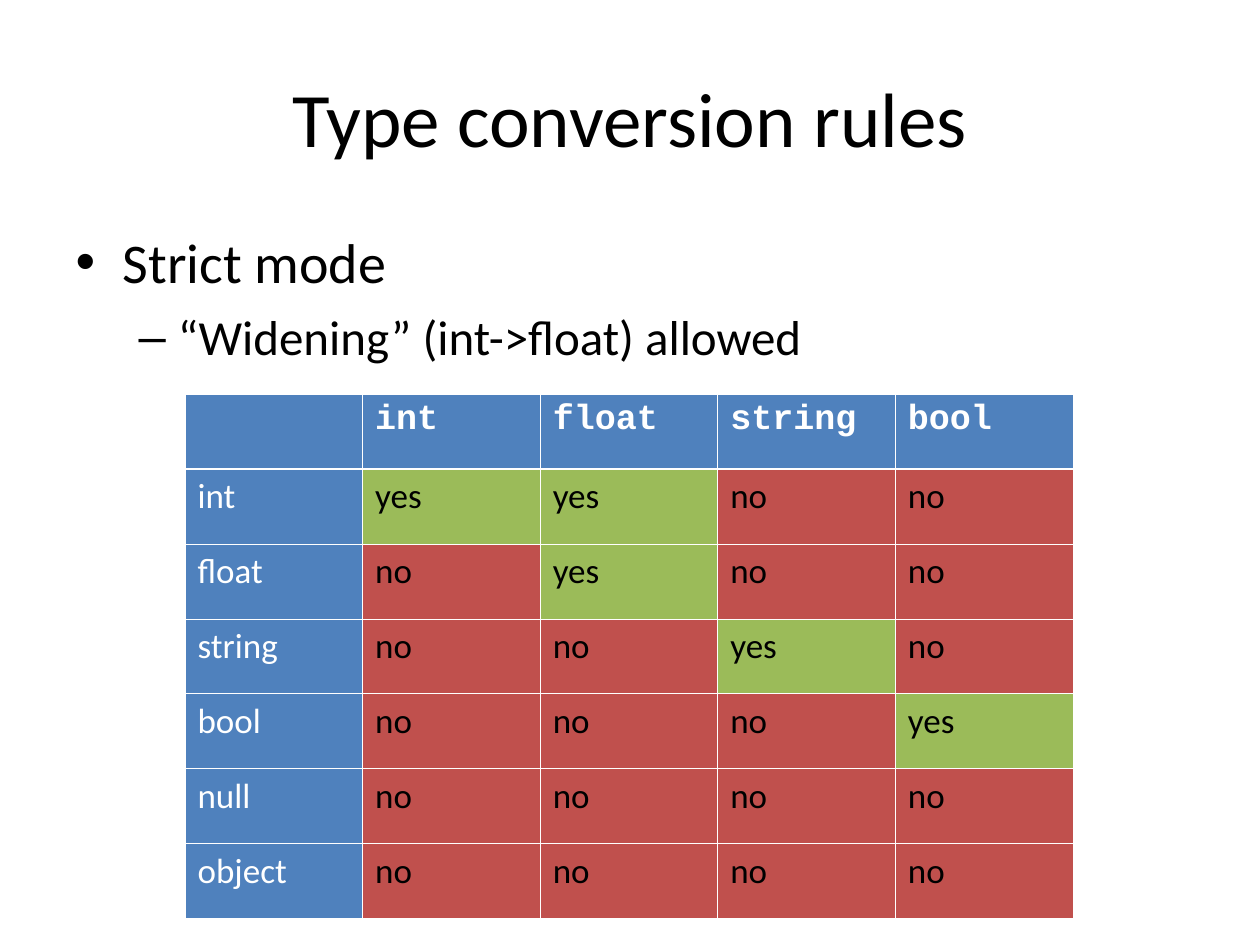
from lxml.etree import SubElement
from pptx import Presentation
from pptx.dml.color import RGBColor
from pptx.enum.text import MSO_ANCHOR, PP_ALIGN
from pptx.oxml.ns import qn
from pptx.util import Pt

SCALE = 914400 / 126
WHITE, BLACK = "FFFFFF", "000000"
BLUE, GREEN, RED = "4F81BD", "9BBB59", "C0504D"
HEADS = ["", "int", "float", "string", "bool"]
RULES = [
    ["int", "yes", "yes", "no", "no"],
    ["float", "no", "yes", "no", "no"],
    ["string", "no", "no", "yes", "no"],
    ["bool", "no", "no", "no", "yes"],
    ["null", "no", "no", "no", "no"],
    ["object", "no", "no", "no", "no"],
]
POINTS = [("Strict mode", 32, 0), ("“Widening” (int->float) allowed", 28, 7)]


def px(size):
    return round(size * SCALE)


def paint(text):
    return RGBColor.from_string(text)


def place(shape, box):
    shape.left, shape.top, shape.width, shape.height = map(px, box)


def style(para, size, tone, face="Calibri", bold=False):
    font = para.font
    font.size, font.name, font.bold = Pt(size), face, bold
    font.color.rgb = paint(tone)


def add_title(slide, box):
    title = slide.shapes.title
    place(title, box)
    frame = title.text_frame
    frame.text = "Type conversion rules"
    frame.vertical_anchor = MSO_ANCHOR.MIDDLE
    para = frame.paragraphs[0]
    para.alignment = PP_ALIGN.CENTER
    style(para, 44, BLACK)


def add_list(slide, box):
    body = slide.placeholders[1]
    place(body, box)
    frame = body.text_frame
    frame.text = "\n".join(text for text, _, _ in POINTS)
    for level, (para, point) in enumerate(zip(frame.paragraphs, POINTS)):
        _, size, gap = point
        para.level = level
        para.space_before = Pt(gap)
        style(para, size, BLACK)


def add_edge(cell, side, width):
    props = cell._tc.get_or_add_tcPr()
    line = SubElement(props, qn(f"a:{side}"), w=str(Pt(width)))
    fill = SubElement(line, qn("a:solidFill"))
    SubElement(fill, qn("a:srgbClr"), val=WHITE)


def fill_cell(cell, text, row, col):
    head = row == 0
    label = head or col == 0
    edges = {"lnL": 0.45, "lnR": 0.45,
             "lnT": 1.47 if row == 1 else 0.45,
             "lnB": 1.47 if head else 0.45}
    for side, width in edges.items():
        add_edge(cell, side, width)
    cell.fill.solid()
    tone = BLUE if label else GREEN if text == "yes" else RED
    cell.fill.fore_color.rgb = paint(tone)
    cell.text = text
    face = "Courier New" if head else "Calibri"
    style(cell.text_frame.paragraphs[0], 20, WHITE if label else BLACK, face, head)


def add_rules(slide, box):
    rows = [HEADS] + RULES
    table = slide.shapes.add_table(len(rows), len(HEADS), *map(px, box)).table
    for row, texts in enumerate(rows):
        for col, text in enumerate(texts):
            fill_cell(table.cell(row, col), text, row, col)


def main():
    deck = Presentation()
    deck.slide_width, deck.slide_height = px(1260), px(945)
    slide = deck.slides.add_slide(deck.slide_layouts[1])
    add_title(slide, (63, 38, 1134, 158))
    add_list(slide, (63, 221, 1134, 624))
    add_rules(slide, (185, 394, 888, 525))
    deck.save("out.pptx")


if __name__ == "__main__":
    main()
